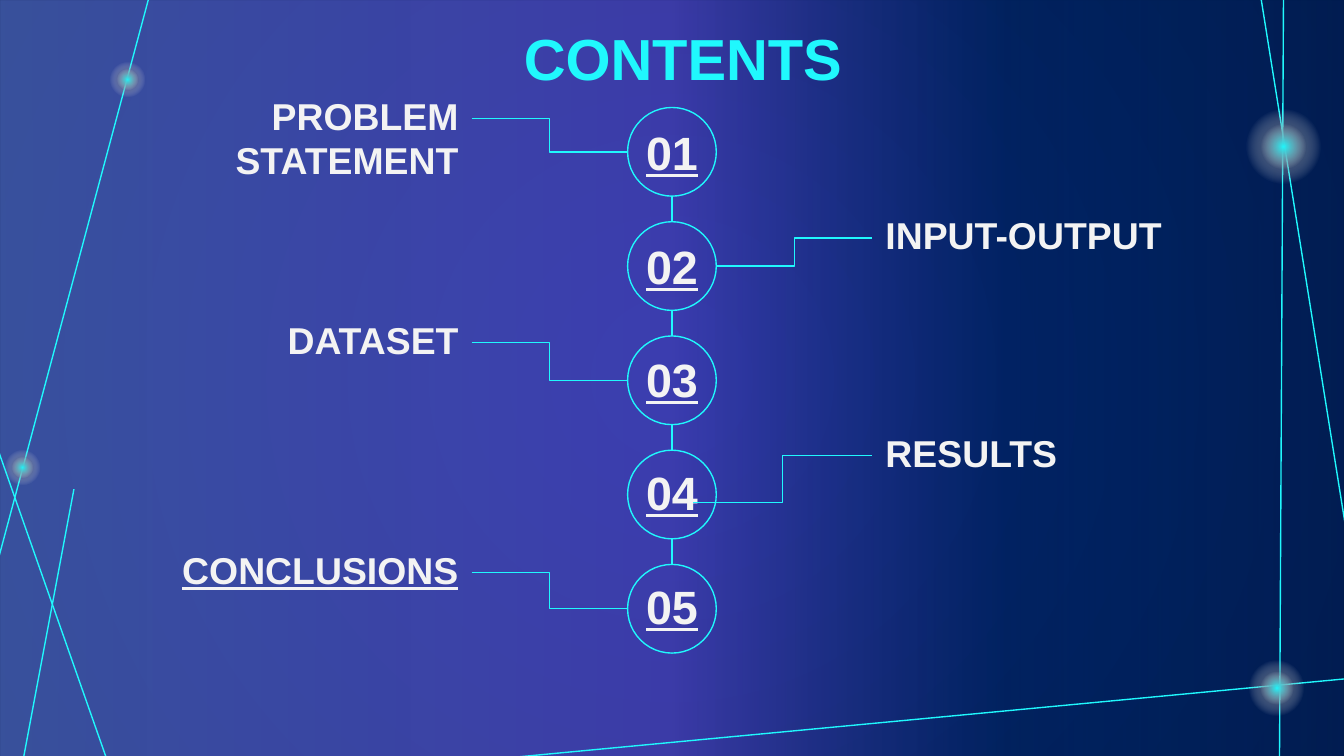
from lxml.etree import SubElement
from pptx import Presentation
from pptx.dml.color import RGBColor
from pptx.enum.shapes import MSO_CONNECTOR, MSO_SHAPE
from pptx.enum.text import MSO_ANCHOR, PP_ALIGN
from pptx.oxml.ns import qn
from pptx.util import Inches, Pt

CYAN, WHITE, NAVY, DARK = "20F8FD", "F3F3F3", "012060", "00183A"
WIDE = 10
HIGH = WIDE * 9 / 16
RING, STEP, FIRST = 0.66, 0.85, 0.8
MID = WIDE / 2

BEAMS = [
    (9.38, -0.03, 10.02, 3.97), (9.55, -0.06, 9.52, 5.73),
    (3.77, 5.64, 10.13, 5.04), (-0.01, 3.36, 0.83, 5.75),
    (0.16, 5.72, 0.55, 3.64), (1.13, -0.1, -0.01, 4.15),
]
GLOWS = [(9.55, 1.09, 0.79), (9.5, 5.12, 0.58),
         (0.17, 3.48, 0.37), (0.95, 0.59, 0.37)]
ITEMS = [
    ("PROBLEM STATEMENT", 0.59, 0.82, (4.67, 1.13)),
    ("INPUT-OUTPUT", 1.48, 1.67, (5.33, 1.98)),
    ("DATASET", 2.26, 2.51, (4.67, 2.83)),
    ("RESULTS", 3.1, 3.35, (5.16, 3.74)),
    ("CONCLUSIONS", 3.97, 4.2, (4.67, 4.53)),
]


def color(code):
    """Turn a hex string into a colour."""
    return RGBColor.from_string(code)


def blend(owner, stops, radial):
    """Replace the empty fill of an element by a gradient."""
    old = next(owner.iter(qn("a:noFill")))
    grad = old.makeelement(qn("a:gradFill"), {"rotWithShape": "1"})
    marks = SubElement(grad, qn("a:gsLst"))
    for place, code, alpha in stops:
        mark = SubElement(marks, qn("a:gs"), pos=str(place * 1000))
        tint = SubElement(mark, qn("a:srgbClr"), val=code)
        if alpha < 100:
            SubElement(tint, qn("a:alpha"), val=str(alpha * 1000))
    if radial:
        way = SubElement(grad, qn("a:path"), {"path": "circle"})
        SubElement(way, qn("a:fillToRect"), {side: "50000" for side in "ltrb"})
    else:
        SubElement(grad, qn("a:lin"), ang="0", scaled="0")
    old.getparent().replace(old, grad)


def form(slide, kind, left, top, width, height):
    """Add a plain shape without fill or shadow."""
    shape = slide.shapes.add_shape(
        kind, Inches(left), Inches(top), Inches(width), Inches(height))
    shape.shadow.inherit = False
    shape.fill.background()
    return shape


def wire(slide, start, end, kind=MSO_CONNECTOR.STRAIGHT):
    """Add a thin cyan connector."""
    link = slide.shapes.add_connector(
        kind, *(Inches(value) for value in (*start, *end)))
    link.line.color.rgb = color(CYAN)
    link.line.width = Pt(0.75)
    SubElement(link.element.spPr, qn("a:effectLst"))


def glow(slide, x, y, size):
    """Add a soft halo with a cyan core around a point."""
    for code, span in ((DARK, size), (CYAN, size * 0.6)):
        disc = form(slide, MSO_SHAPE.OVAL, x - span / 2, y - span / 2, span, span)
        blend(disc.element.spPr, [(0, code, 100), (50, WHITE, 0), (100, WHITE, 0)], True)
        disc.line.fill.background()


def ring(slide, top):
    """Add an outlined circle on the middle axis."""
    shape = form(slide, MSO_SHAPE.OVAL, MID - RING / 2, top, RING, RING)
    shape.line.color.rgb = color(CYAN)
    shape.line.width = Pt(0.75)


def label(slide, words, box, size, align, code=WHITE, under=False):
    """Add a bold text box."""
    frame = slide.shapes.add_textbox(*(Inches(value) for value in box)).text_frame
    frame.word_wrap = True
    frame.vertical_anchor = MSO_ANCHOR.TOP
    frame.margin_left = frame.margin_right = Inches(0.1)
    frame.margin_top = frame.margin_bottom = Inches(0.1)
    para = frame.paragraphs[0]
    para.alignment = align
    run = para.add_run()
    run.text = words
    font = run.font
    font.name, font.size, font.bold = "Arial", Pt(size), True
    font.color.rgb = color(code)
    if under:
        font.underline = True


def scene(slide):
    """Draw the background, beams and glows."""
    slide.background.fill.background()
    blend(slide.element, [(0, NAVY, 100), (100, DARK, 100)], True)
    veil = form(slide, MSO_SHAPE.RECTANGLE, 0, 0, WIDE, HIGH)
    blend(veil.element.spPr, [(0, "748BFF", 49), (50, "7659FF", 50),
                              (75, "022E88", 35), (100, NAVY, 60)], False)
    veil.line.fill.background()
    for beam in BEAMS:
        wire(slide, beam[:2], beam[2:])
    for spot in GLOWS:
        glow(slide, *spot)


def topic(slide, index, words, top, digit, joint):
    """Draw one numbered topic with its elbow line."""
    base = FIRST + index * STEP
    ring(slide, base)
    label(slide, f"{index + 1:02}", (4.43, digit, 1.14, 0.61), 25,
          PP_ALIGN.CENTER, under=True)
    if index % 2 == 0:
        box, align = (0.79, top, 2.72, 0.58), PP_ALIGN.RIGHT
        start, end = (3.51, top + 0.29), joint
    else:
        box, align = (6.49, top, 2.8, 0.58), PP_ALIGN.LEFT
        start, end = joint, (6.49, top + 0.29)
    label(slide, words, box, 20, align, under=words == "CONCLUSIONS")
    wire(slide, start, end, MSO_CONNECTOR.ELBOW)
    if index:
        wire(slide, (MID, base - STEP + RING), (MID, base))


def main():
    """Build the contents slide."""
    deck = Presentation()
    deck.slide_width, deck.slide_height = Inches(WIDE), Inches(HIGH)
    slide = deck.slides.add_slide(deck.slide_layouts[6])
    scene(slide)
    for index, item in enumerate(ITEMS):
        topic(slide, index, *item)
    label(slide, "CONTENTS", (2.25, 0.07, 5.66, 0.72), 31, PP_ALIGN.CENTER, CYAN)
    deck.save("out.pptx")


main()
